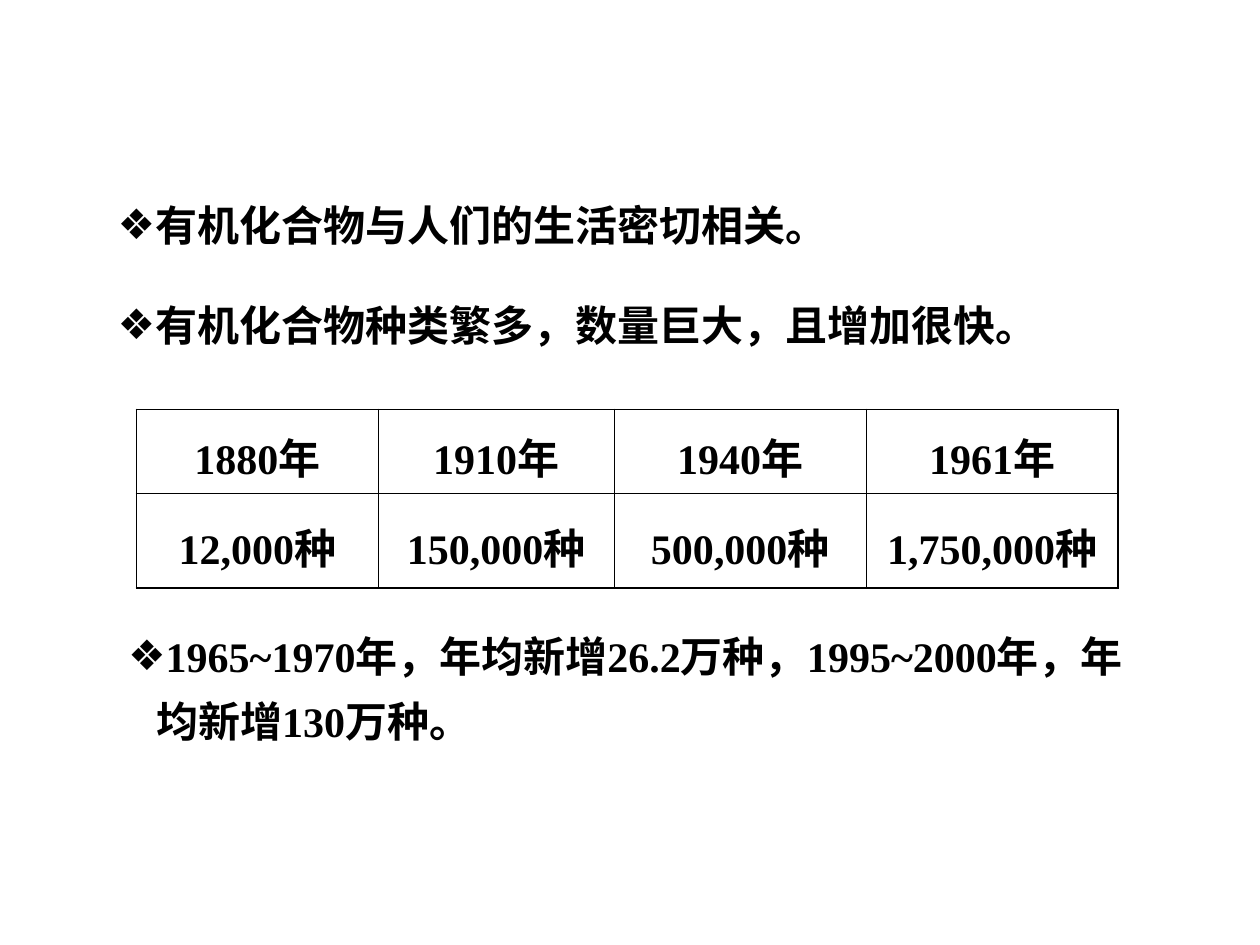
from lxml import etree
from pptx import Presentation
from pptx.dml.color import RGBColor
from pptx.enum.text import MSO_ANCHOR, MSO_AUTO_SIZE, PP_ALIGN
from pptx.oxml.ns import qn
from pptx.util import Pt

TOP, MIDDLE = MSO_ANCHOR.TOP, MSO_ANCHOR.MIDDLE
GROW = MSO_AUTO_SIZE.SHAPE_TO_FIT_TEXT
LEFT, CENTER = PP_ALIGN.LEFT, PP_ALIGN.CENTER
COMPARISON = 4
BLACK = "000000"
SERIF, SANS = "Times New Roman", "Noto Sans CJK SC"
THIN, THICK = 0.45, 1.08

STATEMENTS = [
    ((60, 102, 492, 45), 1.3, [("有机化合物与人们的生活密切相关", SANS), ("。", SERIF)]),
    ((60, 162, 612, 42), 1.2, [("有机化合物种类繁多，数量巨大，且增加很快。", SERIF)]),
    ((66, 348, 594, 82), 1.3,
     [("1965~1970年，年均新增26.2万种，1995~2000年，年均新增130万种。", SERIF)]),
]
COUNTS = [
    ["1880年", "1910年", "1940年", "1961年"],
    ["12,000种", "150,000种", "500,000种", "1,750,000种"],
]
COL_WIDTHS = [138, 135, 144, 144]
ROW_HEIGHTS = [48, 54]


def rgb(value):
    """Return the colour for a hex string."""
    return RGBColor.from_string(value)


def add_run(p, text, font=SERIF):
    """Add one bold black run with Latin and East Asian fonts."""
    r = p.add_run()
    r.text = text
    r.font.size = Pt(24)
    r.font.bold = True
    r.font.color.rgb = rgb(BLACK)
    r.font.name = font
    etree.SubElement(r._r.get_or_add_rPr(), qn("a:ea"), typeface=SANS)


def set_bullet(p, char, indent):
    """Give a paragraph a black bullet with a hanging indent."""
    pPr = p._p.get_or_add_pPr()
    pPr.set("marL", str(Pt(indent)))
    pPr.set("indent", str(-Pt(indent)))
    clr = etree.SubElement(pPr, qn("a:buClr"))
    etree.SubElement(clr, qn("a:srgbClr"), val=BLACK)
    etree.SubElement(pPr, qn("a:buChar"), char=char)


def fill_statement(sp, box, spacing, runs):
    """Place a body placeholder and write one bulleted statement."""
    sp.left, sp.top, sp.width, sp.height = map(Pt, box)
    tf = sp.text_frame
    tf.word_wrap = True
    tf.auto_size = GROW
    tf.vertical_anchor = TOP
    p = tf.paragraphs[0]
    set_bullet(p, "❖", 16)
    p.alignment = LEFT
    p.line_spacing = spacing
    p.space_before = Pt(0)
    for text, font in runs:
        add_run(p, text, font)


def set_border(cell, side, width):
    """Draw one black side of a cell."""
    tcPr = cell._tc.get_or_add_tcPr()
    ln = etree.SubElement(tcPr, qn(f"a:ln{side}"), w=str(Pt(width)))
    fill = etree.SubElement(ln, qn("a:solidFill"))
    etree.SubElement(fill, qn("a:srgbClr"), val=BLACK)


def fill_cell(cell, text, widths):
    """Write a centred cell with its borders and no fill."""
    cell.vertical_anchor = MIDDLE
    cell.margin_top = Pt(9.6)
    for side, width in widths.items():
        set_border(cell, side, width)
    cell.fill.background()
    p = cell.text_frame.paragraphs[0]
    p.alignment = CENTER
    add_run(p, text)


def add_counts_table(slide):
    """Add the table of compound counts by year."""
    rows, cols = len(ROW_HEIGHTS), len(COL_WIDTHS)
    table = slide.shapes.add_table(rows, cols, Pt(78), Pt(234), Pt(sum(COL_WIDTHS)),
                                   Pt(sum(ROW_HEIGHTS))).table
    table.first_row = table.horz_banding = False
    for column, width in zip(table.columns, COL_WIDTHS):
        column.width = Pt(width)
    for i, (height, texts) in enumerate(zip(ROW_HEIGHTS, COUNTS)):
        table.rows[i].height = Pt(height)
        for j, text in enumerate(texts):
            outer = {"L": j == 0, "R": j == cols - 1, "T": i == 0, "B": i == rows - 1}
            widths = {side: THICK if edge else THIN for side, edge in outer.items()}
            fill_cell(table.cell(i, j), text, widths)


def main():
    """Build and save the slide."""
    prs = Presentation()
    prs.slide_width, prs.slide_height = Pt(720), Pt(540)
    slide = prs.slides.add_slide(prs.slide_layouts[COMPARISON])
    title, *bodies = slide.placeholders
    for sp, statement in zip(bodies, STATEMENTS):
        fill_statement(sp, *statement)
    for sp in [title, *bodies[len(STATEMENTS):]]:
        sp._element.getparent().remove(sp._element)
    add_counts_table(slide)
    prs.save("out.pptx")


if __name__ == "__main__":
    main()
